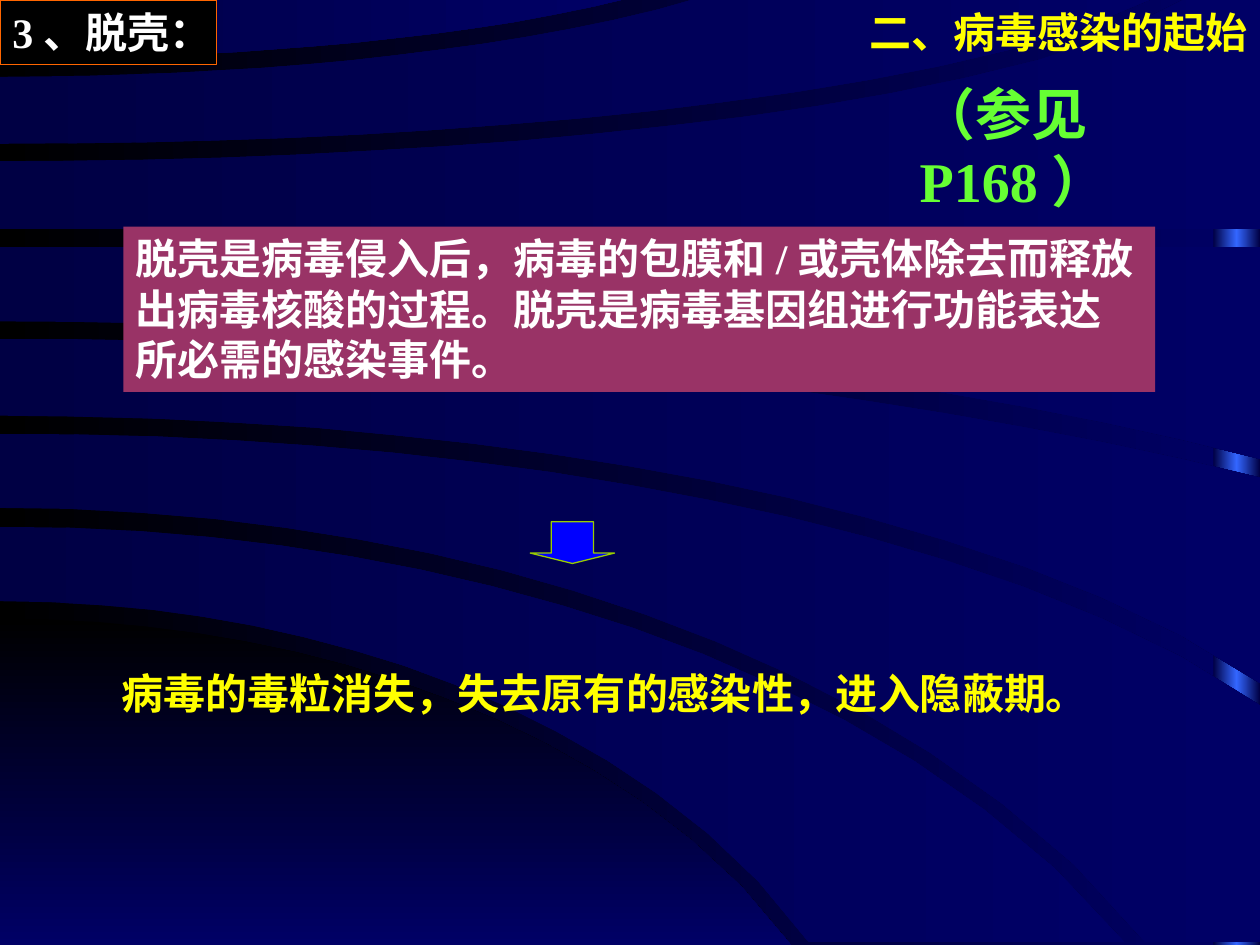
from copy import deepcopy
from math import sqrt

from pptx import Presentation
from pptx import util as u
from pptx.dml.color import RGBColor
from pptx.enum import shapes, text

BLACK = RGBColor(0x00, 0x00, 0x00)
WHITE = RGBColor(0xFF, 0xFF, 0xFF)
NAVY = RGBColor(0x00, 0x00, 0x66)
DARK_NAVY = RGBColor(0x00, 0x00, 0x44)
GLOW = RGBColor(0x33, 0x66, 0xFF)
YELLOW = RGBColor(0xFF, 0xFF, 0x00)
GREEN = RGBColor(0x66, 0xFF, 0x33)
ORANGE = RGBColor(0xFF, 0x66, 0x00)
PLUM = RGBColor(0x99, 0x33, 0x66)
BLUE = RGBColor(0x00, 0x00, 0xFF)
LIME = RGBColor(0x99, 0xCC, 0x00)


def set_gradient(fill, first, last, angle=0):
    fill.gradient()
    fill.gradient_angle = angle
    for stop, color, position in zip(fill.gradient_stops, (first, last), (0, 1)):
        stop.color.rgb = color
        stop.position = position


def add_text(content, x, y, w, h, size=24, color=WHITE, fill=None, line=None, wrap=False):
    sp = s.shapes.add_textbox(u.Cm(x), u.Cm(y), u.Cm(w), u.Cm(h))
    if fill is not None:
        sp.fill.solid()
        sp.fill.fore_color.rgb = fill
    if line is not None:
        sp.line.color.rgb = line
        sp.line.width = u.Pt(0.75)
    tf = sp.text_frame
    tf.word_wrap = wrap
    tf.auto_size = text.MSO_AUTO_SIZE.SHAPE_TO_FIT_TEXT
    r = tf.paragraphs[0].add_run()
    r.text = content
    r.font.name = "Times New Roman"
    r.font.size = u.Pt(size)
    r.font.bold = True
    r.font.color.rgb = color


prs = Presentation()
prs.slide_width, prs.slide_height = u.Cm(25.4), u.Cm(19.05)
s = prs.slides.add_slide(prs.slide_layouts[6])
set_gradient(s.background.fill, BLACK, NAVY)

# Glowing strip on the right edge, bright in the middle
sp = s.shapes.add_shape(shapes.MSO_SHAPE.RECTANGLE, u.Cm(24.46), 0, u.Cm(0.94), u.Cm(19.05))
sp.shadow.inherit = False
sp.line.fill.background()
set_gradient(sp.fill, DARK_NAVY, DARK_NAVY)
first_stop = sp._element.xpath(".//a:gs")[0]
first_stop.addnext(deepcopy(first_stop))
middle = sp.fill.gradient_stops[1]
middle.color.rgb = GLOW
middle.position = 0.5

# Curved bands between two elliptic arcs that start level at the left edge.
# Each arc: start y, end x, end y (cm), share of the ellipse's half width
STEPS = 16
bands = [
    ((12.47, 15.95, 19.05, 0.9), (19.05, 15.95, 19.05, 0.9)),
    ((10.62, 22.68, 19, 0.9), (12.12, 16.31, 19, 0.9)),
    ((8.74, 25.4, 14.22, 0.9), (10.24, 23.09, 19, 0.9)),
    ((6.83, 25.4, 9.63, 0.6), (8.38, 25.4, 13.77, 0.9)),
    ((4.98, 25.4, 4.98, 0.9), (6.48, 25.4, 9.25, 0.7)),
    ((3.25, 23.95, -0.05, 0.97), (4.62, 25.4, 4.62, 0.9)),
    ((1.55, 14.12, -0.05, 0.8), (2.9, 23.29, -0.05, 0.95)),
    ((-0.05, 12.73, -0.05, 0.9), (1.19, 12.73, -0.05, 0.8)),
]
for i, band in enumerate(bands):
    upper, lower = [
        [(end_x * t / STEPS,
          y + (end_y - y) * (1 - sqrt(1 - (k * t / STEPS) ** 2)) / (1 - sqrt(1 - k ** 2)))
         for t in range(STEPS + 1)]
        for y, end_x, end_y, k in band
    ]
    # Corner where the longer arc's right end meets the shorter arc's end level
    corner = (max(upper[-1][0], lower[-1][0]), min(upper[-1], lower[-1])[1])
    points = [(x * 100, y * 100) for x, y in upper + [corner] + lower[::-1]]
    builder = s.shapes.build_freeform(*points[0], scale=u.Cm(0.01))
    builder.add_line_segments(points[1:], close=True)
    sp = builder.convert_to_shape()
    sp.shadow.inherit = False
    sp.line.fill.background()
    if i == 0:
        set_gradient(sp.fill, BLACK, NAVY, angle=270)
    else:
        set_gradient(sp.fill, DARK_NAVY, NAVY)

# Headings
add_text("（参见P168）", 18.29, 1.47, 7.49, 1.63, size=32, color=GREEN, wrap=True)
add_text("二、病毒感染的起始", 17.27, 0, 8.18, 1.27, color=YELLOW)
add_text("3、脱壳：", 0, 0, 4.37, 1.3, fill=BLACK, line=ORANGE)

# Definition
add_text("脱壳是病毒侵入后，病毒的包膜和/或壳体除去而释放出病毒核酸的过程。"
         "脱壳是病毒基因组进行功能表达所必需的感染事件。",
         2.49, 4.57, 20.8, 3.33, fill=PLUM, wrap=True)

# Arrow to the outcome
sp = s.shapes.add_shape(shapes.MSO_SHAPE.DOWN_ARROW,
                        u.Cm(10.69), u.Cm(10.52), u.Cm(1.7), u.Cm(0.84))
sp.adjustments[0], sp.adjustments[1] = 0.5, 0.25
sp.shadow.inherit = False
sp.fill.solid()
sp.fill.fore_color.rgb = BLUE
sp.line.color.rgb = LIME
sp.line.width = u.Pt(0.75)

# Outcome
add_text("病毒的毒粒消失，失去原有的感染性，进入隐蔽期。", 2.21, 13.34, 20.09, 1.27, color=YELLOW)

prs.save("out.pptx")
